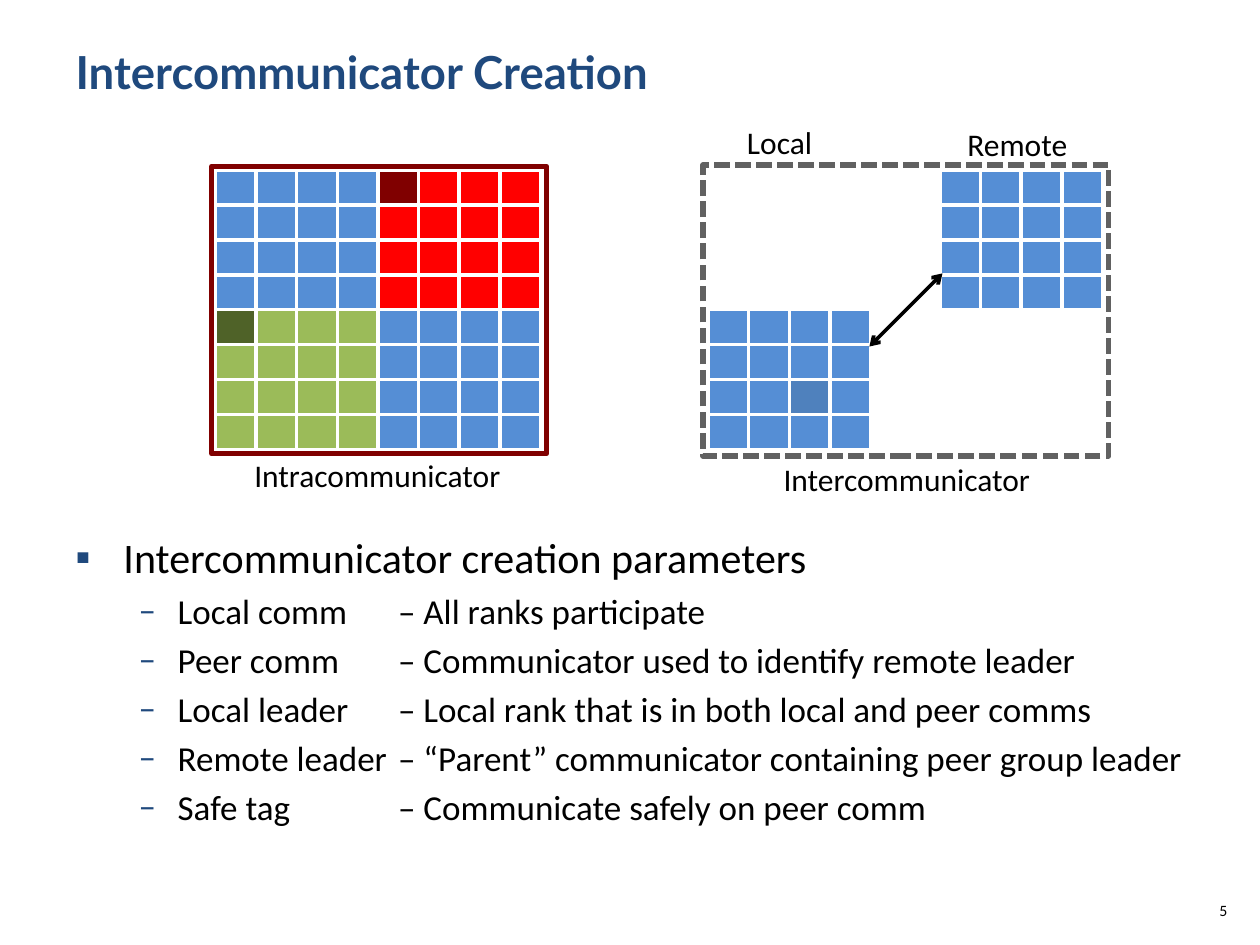
from lxml import etree
from pptx import Presentation
from pptx.dml.color import RGBColor
from pptx.enum.dml import MSO_LINE
from pptx.enum.shapes import MSO_CONNECTOR, MSO_SHAPE
from pptx.enum.text import MSO_ANCHOR, MSO_AUTO_SIZE, PP_ALIGN
from pptx.oxml.ns import qn
from pptx.util import Pt

PX = 9144
RECTANGLE = MSO_SHAPE.RECTANGLE
STRAIGHT = MSO_CONNECTOR.STRAIGHT
DASH = MSO_LINE.SQUARE_DOT
TOP = MSO_ANCHOR.TOP
NO_FIT, FIT_SHAPE = MSO_AUTO_SIZE.NONE, MSO_AUTO_SIZE.SHAPE_TO_FIT_TEXT
LEFT, RIGHT = PP_ALIGN.LEFT, PP_ALIGN.RIGHT

COLORS = {
    "title": "1F497D", "text": "000000", "white": "FFFFFF",
    "blue": "558ED5", "steel": "4F81BD", "red": "FF0000", "maroon": "800000",
    "green": "9BBB59", "olive": "4F6228", "gray": "616161",
}
CELL_COLORS = {
    ".": "white", "B": "blue", "S": "steel", "R": "red",
    "M": "maroon", "G": "green", "O": "olive",
}
INTRA_GRID = ["BBBBMRRR"] + ["BBBBRRRR"] * 3 + ["OGGGBBBB"] + ["GGGGBBBB"] * 3
LOCAL_GRID = ["...."] * 4 + ["BBBB", "BBBB", "BBSB", "BBBB"]
REMOTE_GRID = ["BBBB"] * 4 + ["...."] * 4
PARAMETERS = [
    "Local comm \t– All ranks participate",
    "Peer comm \t– Communicator used to identify remote leader",
    "Local leader\t– Local rank that is in both local and peer comms",
    "Remote leader\t– “Parent” communicator containing peer group leader",
    "Safe tag \t– Communicate safely on peer comm",
]


def rgb(name):
    return RGBColor.from_string(COLORS[name])


def add_element(parent, tag, **attributes):
    return etree.SubElement(parent, qn(tag), attributes)


class SlideBuilder:
    """Holds the text style and the current slide, and adds its elements."""

    def __init__(self, page, font="Calibri"):
        self.page = page
        self.font = font

    def place(self, shape, left, top, width, height):
        shape.left, shape.top = left * PX, top * PX
        shape.width, shape.height = width * PX, height * PX

    def style(self, paragraph, size, color="text", font=None, bold=False):
        for span in paragraph.runs:
            span.font.name = font or self.font
            span.font.size = Pt(size)
            span.font.bold = bold
            span.font.color.rgb = rgb(color)

    def title(self, text, *bounds):
        box = self.page.shapes.title
        self.place(box, *bounds)
        frame = box.text_frame
        frame.text = text
        frame.vertical_anchor = TOP
        frame.auto_size = NO_FIT
        frame.paragraphs[0].alignment = LEFT
        self.style(frame.paragraphs[0], 26, "title", "Lato", True)

    def bullet(self, paragraph, mark, margin, indent, tab=None):
        properties = paragraph._p.get_or_add_pPr()
        properties.set("marL", str(margin * PX))
        properties.set("indent", str(-indent * PX))
        color = add_element(properties, "a:buClr")
        add_element(color, "a:srgbClr", val=COLORS["title"])
        add_element(properties, "a:buFont", typeface=self.font)
        add_element(properties, "a:buChar", char=mark)
        if tab:
            tabs = add_element(properties, "a:tabLst")
            add_element(tabs, "a:tab", pos=str(tab * PX), algn="l")

    def body(self, heading, items, *bounds):
        box = self.page.placeholders[1]
        self.place(box, *bounds)
        frame = box.text_frame
        frame.text = heading
        frame.vertical_anchor = TOP
        frame.auto_size = NO_FIT
        first = frame.paragraphs[0]
        self.bullet(first, "▪", 38, 38)
        first.space_before = Pt(0)
        self.style(first, 24)
        for item in items:
            paragraph = frame.add_paragraph()
            paragraph.text = item
            paragraph.level = 1
            self.bullet(paragraph, "–", 81, 31, 256)
            paragraph.space_before = Pt(4)
            self.style(paragraph, 20)

    def label(self, text, left, top, width, size=18, align=LEFT):
        box = self.page.shapes.add_textbox(left * PX, top * PX, width * PX, 40 * PX)
        frame = box.text_frame
        frame.text = text
        frame.word_wrap = False
        frame.auto_size = FIT_SHAPE
        frame.paragraphs[0].alignment = align
        self.style(frame.paragraphs[0], size)

    def cell(self, cell, color):
        cell.margin_left = cell.margin_right = 0
        cell.margin_top = cell.margin_bottom = 0
        add_element(cell.text_frame.paragraphs[0]._p, "a:endParaRPr", sz="800")
        properties = cell._tc.get_or_add_tcPr()
        for side in ("L", "R", "T", "B"):
            border = add_element(properties, f"a:ln{side}", w=str(Pt(2.25)))
            fill = add_element(border, "a:solidFill")
            add_element(fill, "a:srgbClr", val=COLORS["white"])
        cell.fill.solid()
        cell.fill.fore_color.rgb = rgb(color)

    def grid(self, pattern, left, top, width, height):
        rows, columns = len(pattern), len(pattern[0])
        table = self.page.shapes.add_table(
            rows, columns, left * PX, top * PX, width * PX, height * PX).table
        table.first_row = table.horz_banding = False
        for row, marks in enumerate(pattern):
            for column, mark in enumerate(marks):
                self.cell(table.cell(row, column), CELL_COLORS[mark])

    def frame(self, color, left, top, width, height, dash=None):
        shape = self.page.shapes.add_shape(
            RECTANGLE, left * PX, top * PX, width * PX, height * PX)
        shape.shadow.inherit = False
        shape.fill.background()
        shape.line.color.rgb = rgb(color)
        shape.line.width = Pt(3)
        shape.line.dash_style = dash

    def double_arrow(self, *ends):
        arrow = self.page.shapes.add_connector(STRAIGHT, *(end * PX for end in ends))
        arrow.line.color.rgb = rgb("text")
        arrow.line.width = Pt(2)
        line = arrow.line._get_or_add_ln()
        for tag in ("a:headEnd", "a:tailEnd"):
            add_element(line, tag, type="arrow")
        add_element(arrow._element.spPr, "a:effectLst")


def main():
    deck = Presentation()
    deck.slide_width, deck.slide_height = 1000 * PX, 750 * PX
    slide = SlideBuilder(deck.slides.add_slide(deck.slide_layouts[1]))
    slide.title("Intercommunicator Creation", 50, 30, 900, 78)
    slide.body("Intercommunicator creation parameters", PARAMETERS, 50, 417, 900, 253)
    slide.label("5", 942, 710, 42, 9, RIGHT)
    slide.grid(INTRA_GRID, 171, 135, 258, 222)
    slide.grid(LOCAL_GRID, 562, 135, 129, 222)
    slide.grid(REMOTE_GRID, 746, 135, 129, 222)
    slide.double_arrow(690, 275, 748, 217)
    slide.frame("gray", 558, 131, 322, 231, DASH)
    slide.frame("maroon", 168, 132, 266, 228)
    slide.label("Intracommunicator", 192, 357, 217)
    slide.label("Intercommunicator", 612, 360, 218)
    slide.label("Local", 583, 93, 72)
    slide.label("Remote", 758, 94, 100)
    deck.save("out.pptx")


if __name__ == "__main__":
    main()
